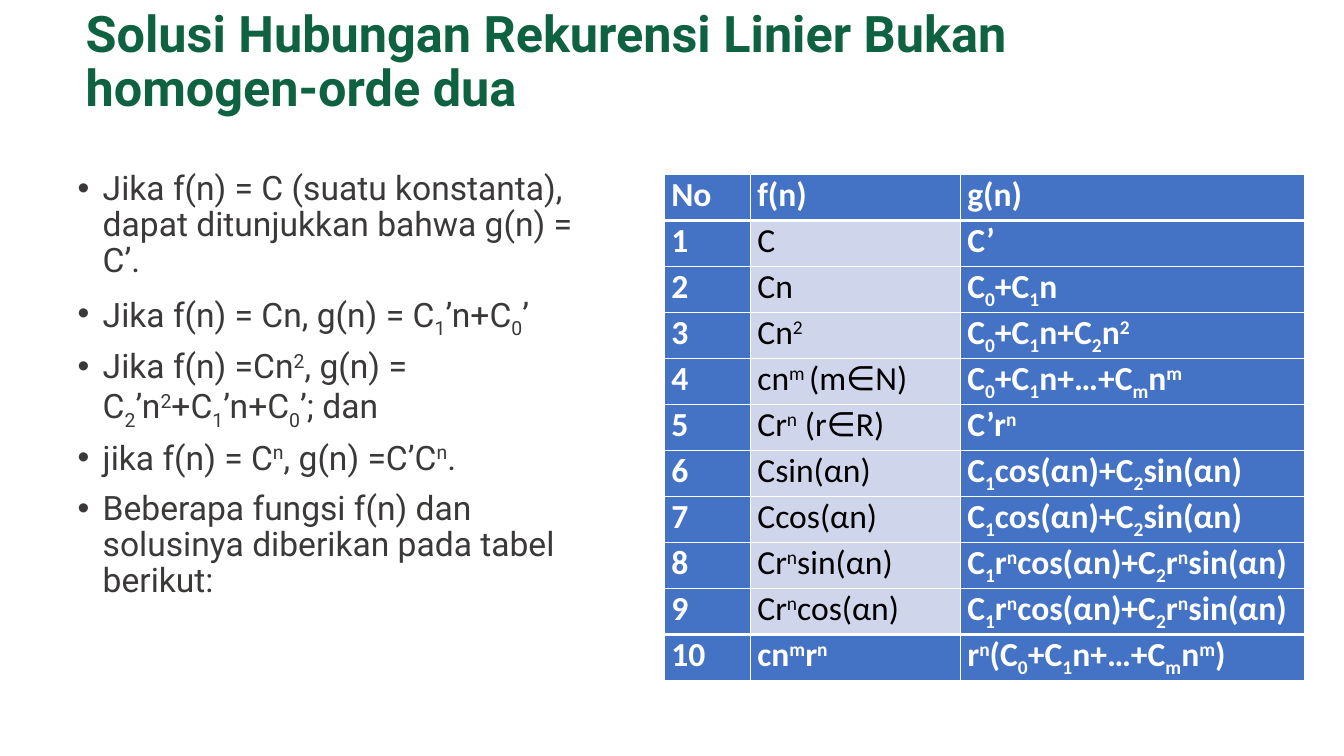
from dataclasses import dataclass
from itertools import groupby

from lxml import etree
from pptx import Presentation
from pptx.dml.color import RGBColor
from pptx.enum.text import MSO_ANCHOR, MSO_AUTO_SIZE, PP_ALIGN
from pptx.oxml.ns import qn
from pptx.util import Pt

GREEN, GREY, BLUE, PALE = "0E6241", "3B3838", "4472C4", "CFD5EA"
WHITE, BLACK = "FFFFFF", "000000"
BASELINES = {"_": "-25000", "^": "30000"}


@dataclass
class Style:
    font: str
    size: float
    color: str
    bold: bool = False


@dataclass
class Solution:
    forcing: str
    particular: str


TITLE = "Solusi Hubungan Rekurensi Linier Bukan homogen-orde dua"

# "_" lowers and "^" raises the one character that follows
POINTS = [
    "Jika f(n) = C (suatu konstanta), dapat ditunjukkan bahwa g(n) = C’.",
    "Jika f(n) = Cn, g(n) = C_1’n+C_0’",
    "Jika f(n) =Cn^2, g(n) = C_2’n^2+C_1’n+C_0’; dan",
    "jika f(n) = C^n, g(n) =C’C^n.",
    "Beberapa fungsi f(n) dan solusinya diberikan pada tabel berikut:",
]
WAVE = "C_1cos(αn)+C_2sin(αn)"
SCALED_WAVE = "C_1r^ncos(αn)+C_2r^nsin(αn)"
SOLUTIONS = [
    Solution("C", "C’"),
    Solution("Cn", "C_0+C_1n"),
    Solution("Cn^2", "C_0+C_1n+C_2n^2"),
    Solution("cn^m^ (m∈N)", "C_0+C_1n+…+C_mn^m"),
    Solution("Cr^n (r∈R)", "C’r^n"),
    Solution("Csin(αn)", WAVE),
    Solution("Ccos(αn)", WAVE),
    Solution("Cr^nsin(αn)", SCALED_WAVE),
    Solution("Cr^ncos(αn)", SCALED_WAVE),
    Solution("cn^mr^n", "r^n(C_0+C_1n+…+C_mn^m)"),
]
COLUMN_WIDTHS = [61.5, 150, 246]
ROW_HEIGHT = 32.86


def rgb(color: str) -> RGBColor:
    return RGBColor.from_string(color)


def write(para, formula: str, style: Style) -> None:
    """Fill a paragraph, splitting it into spans at each change of baseline."""
    font = para.font
    font.name, font.size, font.bold = style.font, Pt(style.size), style.bold
    font.color.rgb = rgb(style.color)
    marked, mark = [], ""
    for char in formula:
        if char in BASELINES:
            mark = char
        else:
            marked.append((mark, char))
            mark = ""
    for mark, group in groupby(marked, key=lambda pair: pair[0]):
        span = para.add_run()
        span.text = "".join(char for _, char in group)
        if mark:
            span._r.get_or_add_rPr().set("baseline", BASELINES[mark])


def place(box, left: float, top: float, width: float, height: float) -> None:
    box.left, box.top, box.width, box.height = map(Pt, (left, top, width, height))
    box.text_frame.word_wrap = True
    box.text_frame.auto_size = MSO_AUTO_SIZE.NONE


def add_borders(cell, top: float, bottom: float) -> None:
    properties = cell._tc.get_or_add_tcPr()
    for side, width in (("L", 1), ("R", 1), ("T", top), ("B", bottom)):
        line = etree.SubElement(properties, qn(f"a:ln{side}"), w=str(Pt(width)))
        fill = etree.SubElement(line, qn("a:solidFill"))
        etree.SubElement(fill, qn("a:srgbClr"), val=WHITE)


def add_solution_table(page, left: float, top: float) -> None:
    rows = [("No", "f(n)", "g(n)")]
    rows += [(str(n), s.forcing, s.particular) for n, s in enumerate(SOLUTIONS, 1)]
    last = len(rows) - 1
    table = page.shapes.add_table(
        len(rows), len(COLUMN_WIDTHS), Pt(left), Pt(top),
        Pt(sum(COLUMN_WIDTHS)), Pt(ROW_HEIGHT * len(rows))).table
    table.first_row = table.last_row = table.first_col = table.last_col = True
    for column, width in zip(table.columns, COLUMN_WIDTHS):
        column.width = Pt(width)
    for r, row in enumerate(rows):
        table.rows[r].height = Pt(ROW_HEIGHT)
        for c, formula in enumerate(row):
            cell = table.cell(r, c)
            plain = c == 1 and 0 < r < last
            cell.margin_left = cell.margin_right = Pt(5)
            cell.margin_top = cell.margin_bottom = 0
            # Thick rules set off the first and last rows
            add_borders(cell, 3 if r in (1, last) else 1, 3 if r in (0, last - 1) else 1)
            cell.fill.solid()
            cell.fill.fore_color.rgb = rgb(PALE if plain else BLUE)
            para = cell.text_frame.paragraphs[0]
            para.alignment = PP_ALIGN.JUSTIFY
            write(para, formula, Style("Calibri", 24, BLACK if plain else WHITE, not plain))


deck = Presentation()
deck.slide_width, deck.slide_height = Pt(960), Pt(540)
page = deck.slides.add_slide(deck.slide_layouts[1])

# Title
title = page.shapes.title
place(title, 54, 17.3, 767.5, 56)
title.text_frame.vertical_anchor = MSO_ANCHOR.MIDDLE
heading = title.text_frame.paragraphs[0]
heading.alignment = PP_ALIGN.LEFT
heading.line_spacing = 0.9
write(heading, TITLE, Style("Roboto", 36, GREEN, True))

# Bulleted list
body = page.placeholders[1]
place(body, 48.2, 118.8, 393.8, 404.6)
body.fill.solid()
body.fill.fore_color.rgb = rgb(WHITE)
frame = body.text_frame
for index, point in enumerate(POINTS):
    para = frame.add_paragraph() if index else frame.paragraphs[0]
    para.line_spacing = 0.9
    para.space_before = Pt(10)
    indents = para._p.get_or_add_pPr()
    indents.set("marL", str(Pt(18)))
    indents.set("indent", str(-Pt(18)))
    write(para, point, Style("Roboto", 24, GREY))

# Table of particular solutions
add_solution_table(page, 474.5, 124.6)

deck.save("out.pptx")
